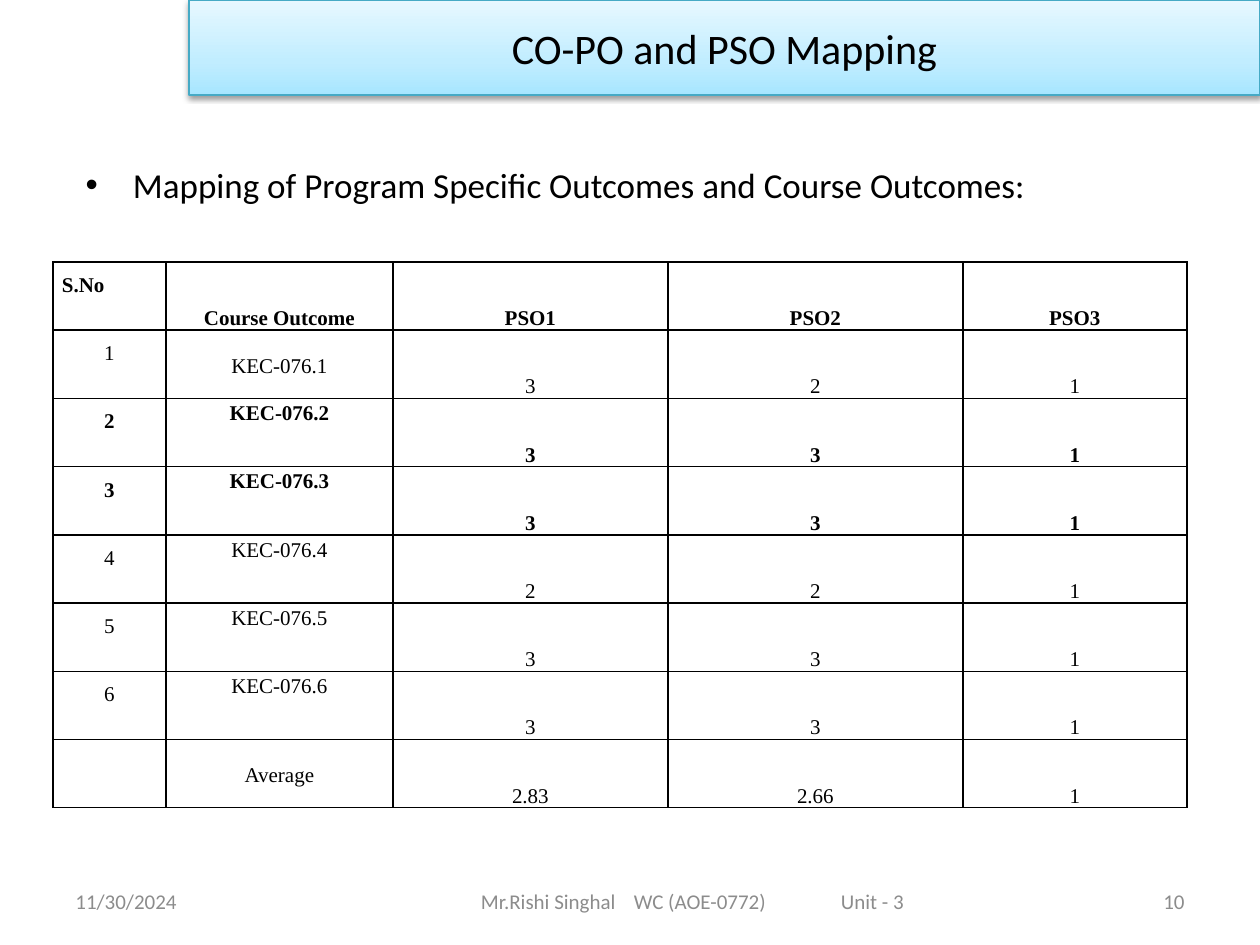
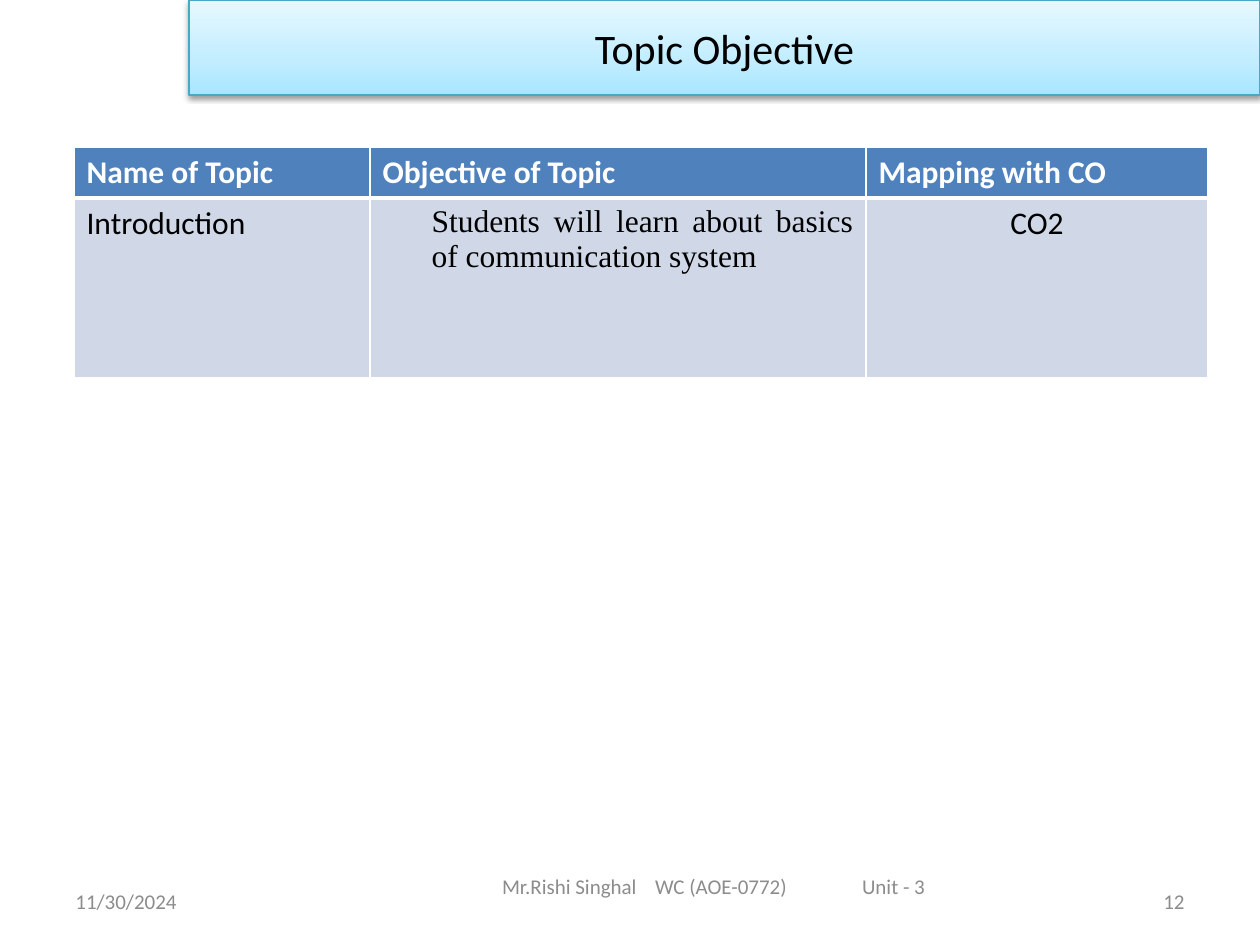
import pptx
import pptx.util
import pptx.oxml
import pptx.oxml.ns
from pptx.dml.color import RGBColor
from pptx.enum.text import MSO_ANCHOR, MSO_AUTO_SIZE, PP_ALIGN

PX = 914400 / 126
BLACK = RGBColor(0x00, 0x00, 0x00)
WHITE = RGBColor(0xFF, 0xFF, 0xFF)
GREY = RGBColor(0x8C, 0x8C, 0x8C)
BAND_LINE = RGBColor(0x46, 0xAA, 0xC5)
BAND_STOPS = (
    (0, RGBColor(0xA7, 0xE6, 0xFF)),
    (35, RGBColor(0xC1, 0xED, 0xFF)),
    (100, RGBColor(0xE7, 0xF8, 0xFF)),
)
HEADER_BLUE = RGBColor(0x4F, 0x81, 0xBD)
ROW_BLUE = RGBColor(0xD0, 0xD8, 0xE8)
SANS, SERIF = "Calibri", "Times New Roman"

BAND_BOX = (189, 0, 1071, 95)
DATE_BOX = (63, 876, 294, 50)
NUMBER_BOX = (903, 876, 294, 50)
FOOTER_WIDTH = 423
FOOTER_TABS = (153, 360)

MAPPING_ROWS = (
    ("S.No", "Course Outcome", "PSO1", "PSO2", "PSO3"),
    ("1", "KEC-076.1", "3", "2", "1"),
    ("2", "KEC-076.2", "3", "3", "1"),
    ("3", "KEC-076.3", "3", "3", "1"),
    ("4", "KEC-076.4", "2", "2", "1"),
    ("5", "KEC-076.5", "3", "3", "1"),
    ("6", "KEC-076.6", "3", "3", "1"),
    ("", "Average", "2.83", "2.66", "1"),
)
MAPPING_COLS = (113, 227, 275, 295, 224)
BOLD_ROWS = (0, 2, 3)
MIDDLE_ROWS = (1, 7)

TOPIC_ROWS = (
    ("Name of Topic", "Objective of Topic", "Mapping with CO"),
    ("Introduction", "Students will learn about basics of communication system", "CO2"),
)
TOPIC_COLS = (296, 496, 342)
TOPIC_HEIGHTS = (51, 180)


def px(n):
    """Turn px into EMU."""
    return round(n * PX)


def place(sp, box):
    """Move a shape to a box given in px."""
    sp.left, sp.top, sp.width, sp.height = map(px, box)


def write(p, text, size, color, font=SANS, bold=False, align=PP_ALIGN.LEFT):
    """Add one formatted run to a paragraph."""
    p.alignment = align
    r = p.add_run()
    r.text = text
    r.font.size = pptx.util.Pt(size)
    r.font.name = font
    r.font.bold = bold
    r.font.color.rgb = color


def add_xml(parent, xml):
    """Append a piece of DrawingML to an element."""
    ns = pptx.oxml.ns.nsdecls("a")
    parent.append(pptx.oxml.parse_xml(xml.replace(">", f" {ns}>", 1)))


def title_band(slide, text):
    """Turn the title placeholder into the gradient band."""
    sp = slide.shapes.title
    place(sp, BAND_BOX)
    stops = "".join(
        f'<a:gs pos="{pos * 1000}"><a:srgbClr val="{color}"/></a:gs>'
        for pos, color in BAND_STOPS
    )
    spPr = sp.element.spPr
    add_xml(spPr, f'<a:gradFill rotWithShape="1"><a:gsLst>{stops}</a:gsLst>'
                  '<a:lin ang="16200000" scaled="0"/></a:gradFill>')
    sp.line.color.rgb = BAND_LINE
    sp.line.width = pptx.util.Pt(0.75)
    add_xml(spPr, '<a:effectLst><a:outerShdw blurRad="40000" dist="20000" '
                  'dir="5400000" rotWithShape="0"><a:srgbClr val="000000">'
                  '<a:alpha val="38000"/></a:srgbClr></a:outerShdw></a:effectLst>')
    tf = sp.text_frame
    tf.auto_size = MSO_AUTO_SIZE.NONE
    tf.vertical_anchor = MSO_ANCHOR.MIDDLE
    write(tf.paragraphs[0], text, 24, BLACK, align=PP_ALIGN.CENTER)


def footer_text(slide, box, text, align=PP_ALIGN.LEFT):
    """Add one grey footer text and return its frame."""
    sp = slide.shapes.add_textbox(*map(px, box))
    tf = sp.text_frame
    tf.word_wrap = True
    tf.vertical_anchor = MSO_ANCHOR.MIDDLE
    write(tf.paragraphs[0], text, 12, GREY, align=align)
    return tf


def footer(slide, number, course_box):
    """Add the date, the course line and the slide number."""
    footer_text(slide, DATE_BOX, "11/30/2024")
    tf = footer_text(slide, course_box, "Mr.Rishi Singhal\tWC (AOE-0772)\tUnit - 3")
    tf.margin_left = px((course_box[2] - FOOTER_WIDTH) // 2)
    tf.margin_right = 0
    tabs = "".join(f'<a:tab pos="{px(t)}" algn="l"/>' for t in FOOTER_TABS)
    add_xml(tf.paragraphs[0]._p.get_or_add_pPr(), f"<a:tabLst>{tabs}</a:tabLst>")
    footer_text(slide, NUMBER_BOX, number, PP_ALIGN.RIGHT)


def add_grid(slide, left, top, cols, heights):
    """Add an unbanded table with the given px columns and EMU rows."""
    table = slide.shapes.add_table(
        len(heights), len(cols), px(left), px(top), px(sum(cols)), sum(heights)
    ).table
    table.first_row = table.horz_banding = False
    for col, width in zip(table.columns, cols):
        col.width = px(width)
    for row, height in zip(table.rows, heights):
        row.height = height
    return table


def borders(cell, color, top=1, bottom=1):
    """Draw the four cell borders, widths in points."""
    tcPr = cell._tc.get_or_add_tcPr()
    for side, width in (("L", 1), ("R", 1), ("T", top), ("B", bottom)):
        add_xml(tcPr, f'<a:ln{side} w="{width * 12700}"><a:solidFill>'
                      f'<a:srgbClr val="{color}"/></a:solidFill></a:ln{side}>')


def mapping_table(slide, left, top, height):
    """Add the course outcome table in equal rows."""
    count = len(MAPPING_ROWS)
    table = add_grid(slide, left, top, MAPPING_COLS, [px(height) // count] * count)
    for i, row in enumerate(MAPPING_ROWS):
        for j, text in enumerate(row):
            cell = table.cell(i, j)
            borders(cell, BLACK)
            cell.fill.background()
            if not text:
                continue
            cell.margin_left = cell.margin_right = px(9)
            cell.margin_top = cell.margin_bottom = 0
            outcome = j == 1 and i > 0
            if outcome:
                middle = i in MIDDLE_ROWS
                cell.vertical_anchor = MSO_ANCHOR.MIDDLE if middle else MSO_ANCHOR.TOP
            else:
                cell.vertical_anchor = MSO_ANCHOR.BOTTOM if j else MSO_ANCHOR.TOP
            p = cell.text_frame.paragraphs[0]
            p.line_spacing = 1.15 if outcome else 1.5
            if i == 0 or (outcome and not middle):
                p.space_after = pptx.util.Pt(10)
            align = PP_ALIGN.LEFT if i == j == 0 else PP_ALIGN.CENTER
            write(p, text, 12, BLACK, SERIF, i in BOLD_ROWS, align)


def topic_table(slide, left, top):
    """Add the topic table with its blue header."""
    table = add_grid(slide, left, top, TOPIC_COLS, [px(h) for h in TOPIC_HEIGHTS])
    table.first_row = True
    for cell, text in zip(table.rows[0].cells, TOPIC_ROWS[0]):
        borders(cell, WHITE, bottom=3)
        cell.fill.solid()
        cell.fill.fore_color.rgb = HEADER_BLUE
        write(cell.text_frame.paragraphs[0], text, 18, WHITE, bold=True)
    fonts = (SANS, SERIF, SANS)
    aligns = (PP_ALIGN.LEFT, PP_ALIGN.JUSTIFY, PP_ALIGN.CENTER)
    for cell, text, font, align in zip(table.rows[1].cells, TOPIC_ROWS[1], fonts, aligns):
        borders(cell, WHITE, top=3)
        cell.fill.solid()
        cell.fill.fore_color.rgb = ROW_BLUE
        write(cell.text_frame.paragraphs[0], text, 18, BLACK, font, align=align)
    pPr = table.cell(1, 1).text_frame.paragraphs[0]._p.get_or_add_pPr()
    pPr.set("marL", str(px(49)))
    pPr.set("indent", "0")


def mapping_slide(prs):
    """Build the slide that maps outcomes."""
    slide = prs.slides.add_slide(prs.slide_layouts[1])
    title_band(slide, "CO-PO and PSO Mapping")
    body = slide.placeholders[1]
    place(body, (73, 157, 1134, 624))
    write(body.text_frame.paragraphs[0],
          "Mapping of Program Specific Outcomes and Course Outcomes:", 20, BLACK)
    footer(slide, "10", (346, 876, 693, 50))
    mapping_table(slide, 53, 262, 546)


def objective_slide(prs):
    """Build the slide with the topic objective."""
    slide = prs.slides.add_slide(prs.slide_layouts[5])
    title_band(slide, "Topic Objective")
    footer(slide, "12", (388, 861, 651, 50))
    topic_table(slide, 74, 147)


def main():
    """Build and save the presentation."""
    prs = pptx.Presentation()
    prs.slide_width, prs.slide_height = px(1260), px(945)
    mapping_slide(prs)
    objective_slide(prs)
    prs.save("out.pptx")


if __name__ == "__main__":
    main()
